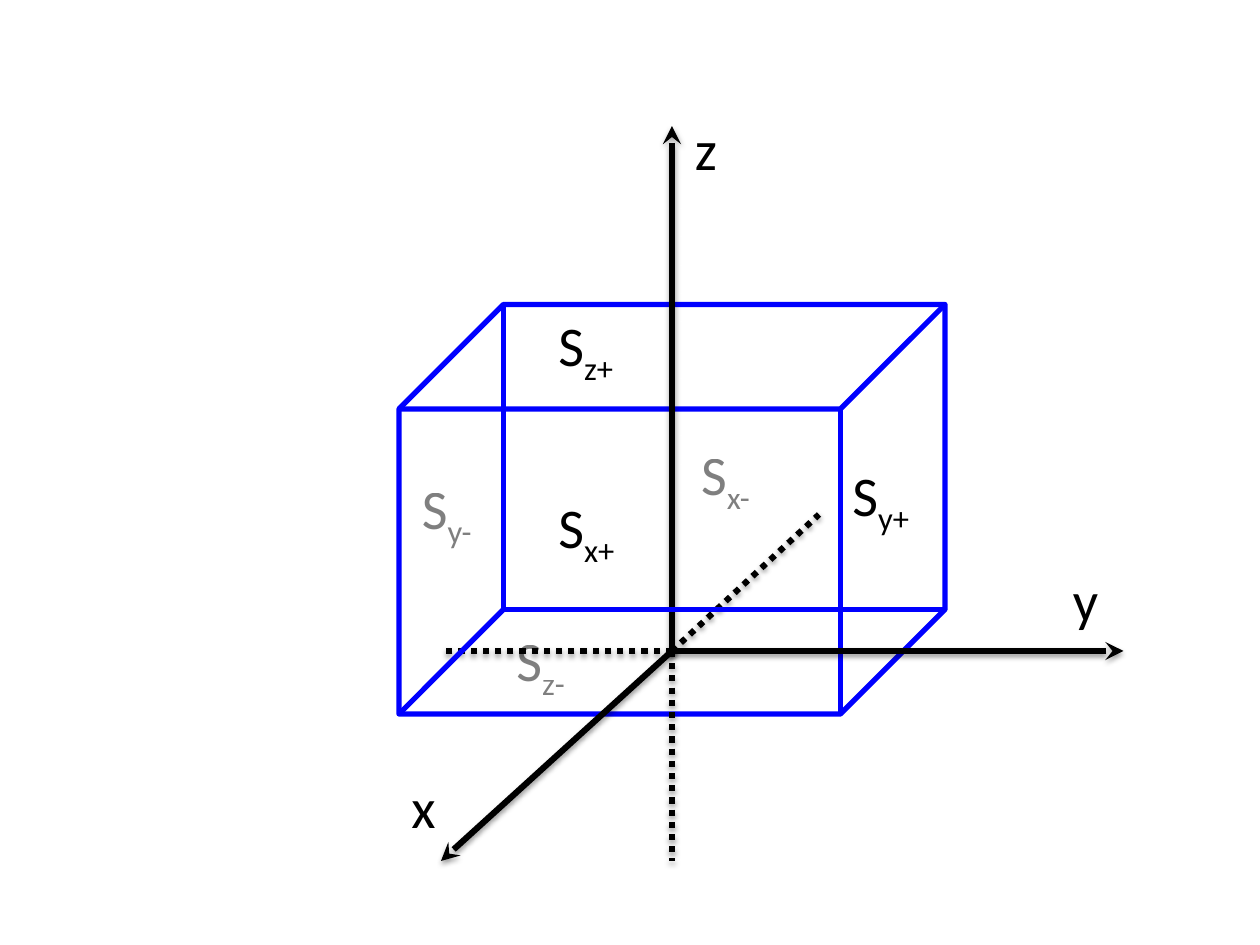
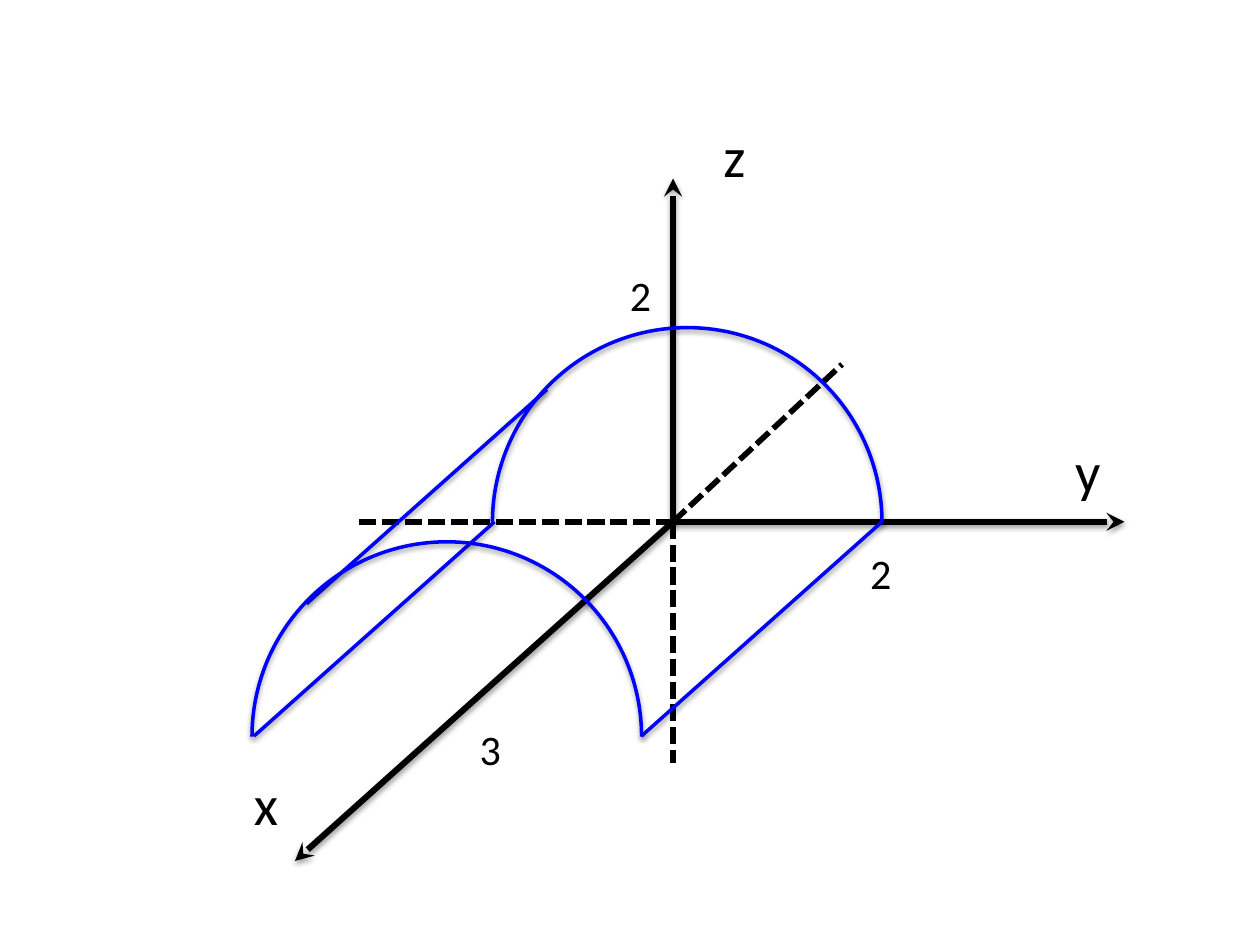
import dataclasses

import lxml.etree
import pptx
import pptx.dml.color
import pptx.enum.dml
import pptx.enum.shapes
import pptx.enum.text
import pptx.oxml.ns
import pptx.util

DASH = pptx.enum.dml.MSO_LINE
SHAPE = pptx.enum.shapes.MSO_SHAPE
qn = pptx.oxml.ns.qn


@dataclasses.dataclass(frozen=True)
class Theme:
    font: str = "Calibri"
    ink: str = "000000"
    outline: str = "0000FF"
    name_size: float = 32
    tick_size: float = 24
    axis_width: float = 3.5
    dash_width: float = 3.25
    box_width: float = 3
    curve_width: float = 2
    hidden_alpha: int = 50
    shadow_alpha: int = 38


def add_xml(parent, tag, **attributes):
    return lxml.etree.SubElement(parent, qn(tag), {k: str(v) for k, v in attributes.items()})


def write(p, text, *, font, size, color, alpha=None, baseline=None):
    r = p.add_run()
    r.text = text
    r.font.name = font
    r.font.size = pptx.util.Pt(size)
    r.font.color.rgb = pptx.dml.color.RGBColor.from_string(color)
    if alpha is not None:
        clr = r.font._element.find(".//" + qn("a:srgbClr"))
        add_xml(clr, "a:alpha", val=alpha * 1000)
    if baseline is not None:
        r.font._element.set("baseline", str(baseline * 1000))


class Sketch:
    COLUMNS, ROWS = 120, 90

    def __init__(self, prs, theme):
        self.prs = prs
        self.theme = theme
        self.slide = None

    def new_slide(self):
        self.slide = self.prs.slides.add_slide(self.prs.slide_layouts[6])

    def place(self, column, row):
        return (round(self.prs.slide_width * column / self.COLUMNS),
                round(self.prs.slide_height * row / self.ROWS))

    def stroke(self, sp, color, width, dash=None, arrow=False, shadow=False):
        sp.line.color.rgb = pptx.dml.color.RGBColor.from_string(color)
        sp.line.width = pptx.util.Pt(width)
        if dash is not None:
            sp.line.dash_style = dash
        sp_pr = sp._element.spPr
        if arrow:
            add_xml(sp_pr.find(qn("a:ln")), "a:tailEnd", type="stealth")
        effects = add_xml(sp_pr, "a:effectLst")
        if shadow:
            outer = add_xml(effects, "a:outerShdw", blurRad=40000, dist=20000,
                            dir=5400000, rotWithShape=0)
            clr = add_xml(outer, "a:srgbClr", val=self.theme.ink)
            add_xml(clr, "a:alpha", val=self.theme.shadow_alpha * 1000)

    def line(self, start, end, color, width, **style):
        sp = self.slide.shapes.add_connector(
            pptx.enum.shapes.MSO_CONNECTOR.STRAIGHT, *self.place(*start), *self.place(*end))
        self.stroke(sp, color, width, **style)

    def outline(self, kind, corner, size, adjustments, width, **style):
        sp = self.slide.shapes.add_shape(kind, *self.place(*corner), *self.place(*size))
        for i, value in enumerate(adjustments):
            sp.adjustments[i] = value
        sp.fill.background()
        self.stroke(sp, self.theme.outline, width, **style)

    def axes(self, origin, tips):
        for tip in tips:
            self.line(origin, tip, self.theme.ink, self.theme.axis_width,
                      arrow=True, shadow=True)

    def negative_axes(self, origin, ends, dash, width, shadow=False):
        for end in ends:
            self.line(origin, end, self.theme.ink, width, dash=dash, shadow=shadow)

    def label(self, text, corner, size, box, subscript=None, alpha=None):
        sp = self.slide.shapes.add_textbox(*self.place(*corner), *self.place(*box))
        tf = sp.text_frame
        tf.word_wrap = False
        tf.auto_size = pptx.enum.text.MSO_AUTO_SIZE.SHAPE_TO_FIT_TEXT
        p = tf.paragraphs[0]
        look = dict(font=self.theme.font, size=size, color=self.theme.ink, alpha=alpha)
        write(p, text, **look)
        if subscript:
            write(p, subscript, baseline=-25, **look)

    def axis_names(self, corners):
        for name, corner in zip("xyz", corners):
            self.label(name, corner, self.theme.name_size, (5.2, 7.7))

    def face_name(self, subscript, corner):
        hidden = subscript.endswith("-")
        self.label("S", corner, self.theme.name_size, (9 if hidden else 10, 7.7),
                   subscript, self.theme.hidden_alpha if hidden else None)

    def tick(self, text, corner):
        self.label(text, corner, self.theme.tick_size, (4.7, 6))


def box_slide(sketch):
    theme = sketch.theme
    sketch.new_slide()
    left, top, width, height, depth = 38, 29, 52, 39, 9.95
    origin = (64, 62)
    sketch.outline(SHAPE.CUBE, (left, top), (width, height), [depth / height],
                   theme.box_width)
    sketch.axes(origin, [(64, 12), (107, 62), (42, 82)])
    sketch.negative_axes(origin, [(78, 49), (64, 82), (42, 62)],
                         DASH.ROUND_DOT, theme.axis_width, shadow=True)

    hidden_corner = (left + depth, top + height - depth)
    neighbours = [(left + width, hidden_corner[1]), (hidden_corner[0], top),
                  (left, top + height)]
    for corner in neighbours:
        sketch.line(corner, hidden_corner, theme.outline, theme.box_width)

    sketch.axis_names([(38, 73), (101, 53.3), (65, 10.3)])
    faces = {"z+": (52, 29), "y+": (80, 43.3), "x+": (52, 46.3),
             "y-": (39, 44.5), "z-": (48, 59), "x-": (65.6, 41.3)}
    for subscript, corner in faces.items():
        sketch.face_name(subscript, corner)


def half_cylinder_slide(sketch):
    theme = sketch.theme
    sketch.new_slide()
    origin = (64.1, 49.7)
    sketch.axes(origin, [(64.1, 17), (107.1, 49.7), (28.1, 82)])
    sketch.axis_names([(23, 72.7), (101.2, 41), (67.7, 11)])
    sketch.negative_axes(origin, [(64.1, 72.7), (80.2, 34.7), (34.1, 49.7)],
                         DASH.SQUARE_DOT, theme.dash_width)

    def to_back(point):
        return point[0] + 22.9, point[1] - 20.4

    for front in [(61.1, 70.1), (24.2, 70.1), (29.2, 57.5)]:
        sketch.line(front, to_back(front), theme.outline, theme.curve_width, shadow=True)
    front_arc = (24, 51.6)
    for corner in (front_arc, to_back(front_arc)):
        sketch.outline(SHAPE.ARC, corner, (37.1, 37.1), [108, 0],
                       theme.curve_width, shadow=True)

    for text, corner in [("2", (58.8, 25.1)), ("2", (81.7, 51.6)), ("3", (44.5, 68.3))]:
        sketch.tick(text, corner)


def main():
    prs = pptx.Presentation()
    prs.slide_width = pptx.util.Inches(10)
    prs.slide_height = pptx.util.Inches(7.5)
    sketch = Sketch(prs, Theme())
    box_slide(sketch)
    half_cylinder_slide(sketch)
    prs.save("out.pptx")


if __name__ == "__main__":
    main()
